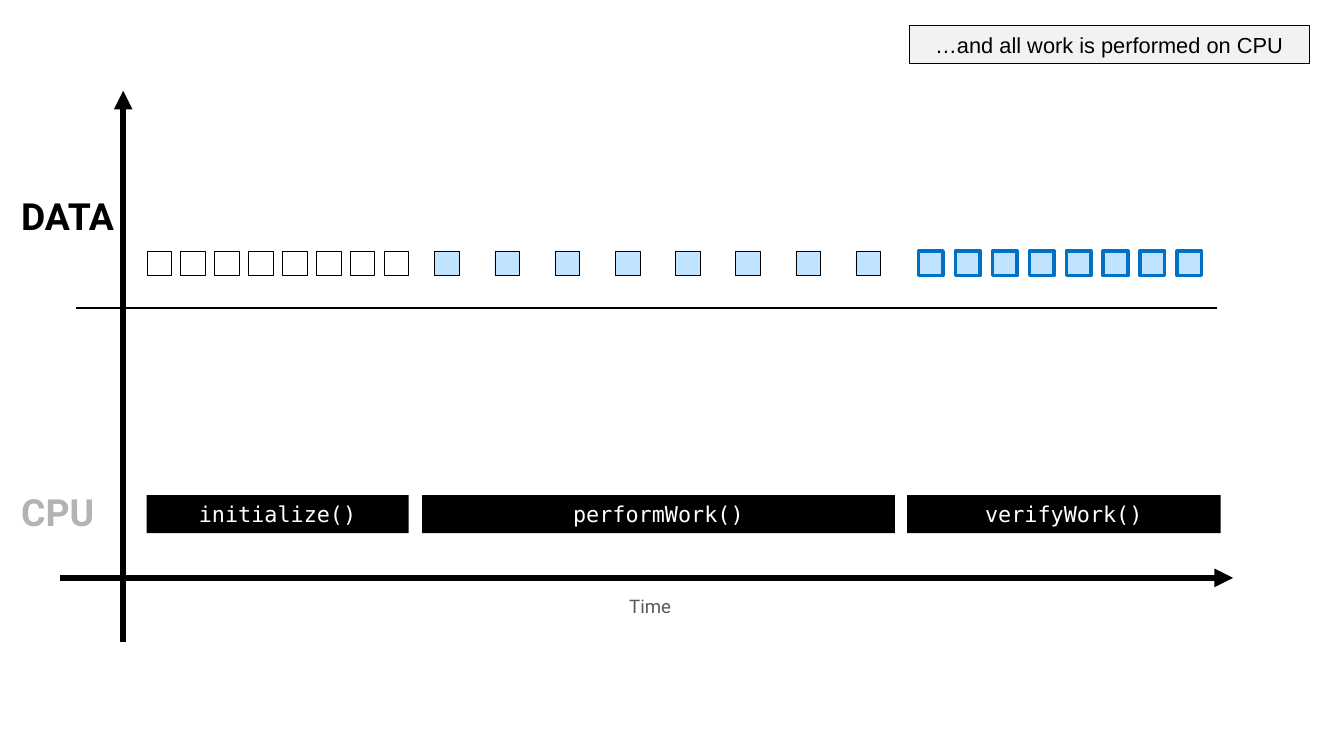
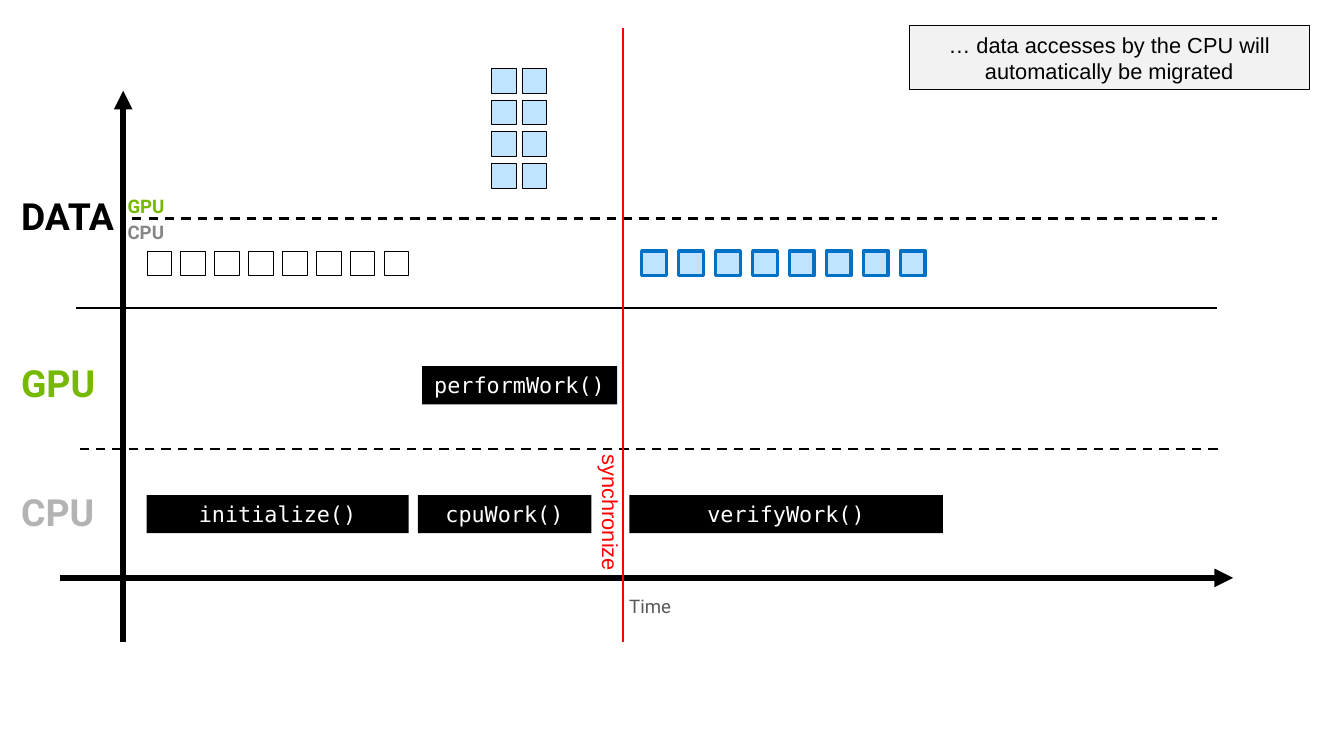
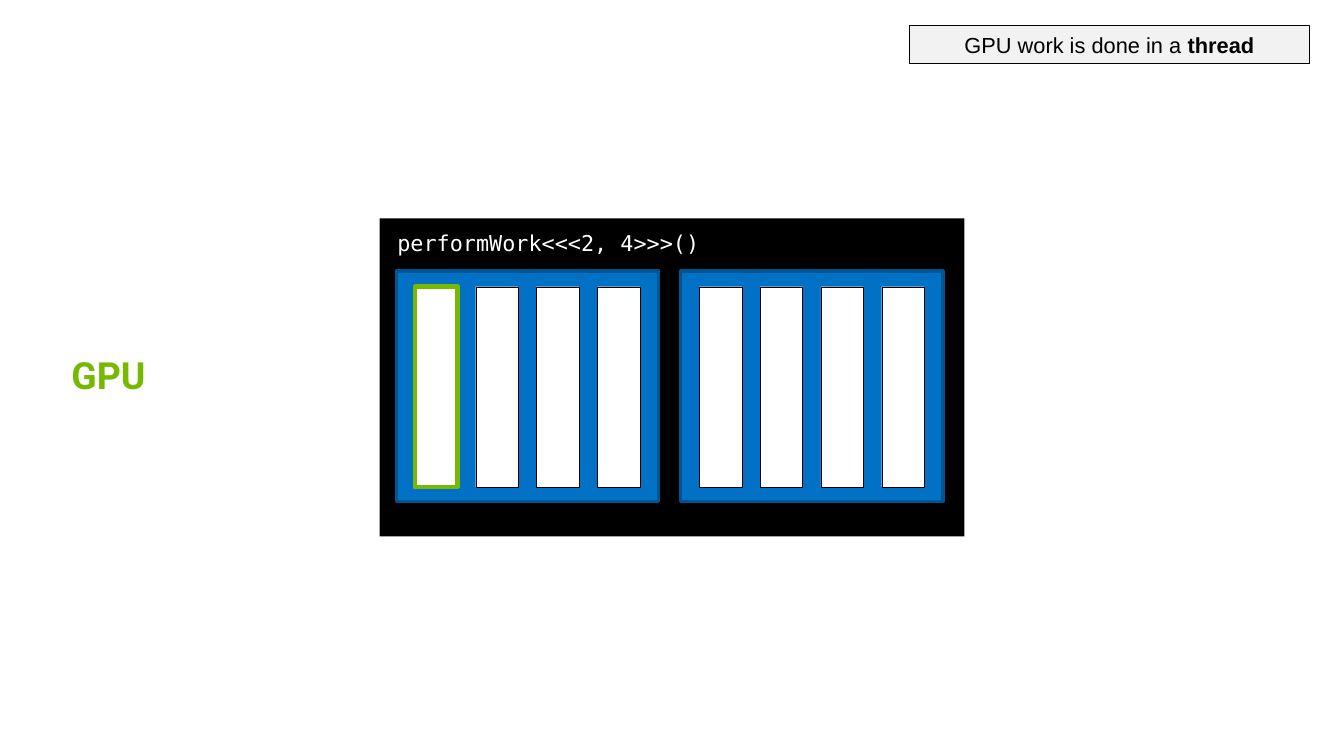
import pptx
import pptx.dml.color
import pptx.enum.dml
import pptx.enum.shapes
import pptx.enum.text
import pptx.oxml
import pptx.oxml.ns
import pptx.util

BLACK, WHITE, RED, GREEN = "000000", "FFFFFF", "FF0000", "76B900"
BLUE, DARK_BLUE, PALE_BLUE = "0071C5", "005492", "C0E4FF"
LIGHT_GRAY, CPU_GRAY, SMALL_CPU_GRAY, TIME_GRAY = "F2F2F2", "B3B3B3", "868686", "595959"

ALIGN = pptx.enum.text.PP_ALIGN
ANCHOR = pptx.enum.text.MSO_ANCHOR
color = pptx.dml.color.RGBColor.from_string

CODE = dict(font="DejaVu Sans Mono", size=14, ink=WHITE, align=ALIGN.CENTER, anchor=ANCHOR.MIDDLE, grow=True)
CODE_LEFT = {**CODE, "align": ALIGN.LEFT}
CALLOUT = dict(font="Arial", size=14, ink=BLACK, align=ALIGN.CENTER, anchor=ANCHOR.TOP, grow=True)
SYNCHRONIZE = {**CALLOUT, "ink": RED, "align": ALIGN.LEFT}
LABEL = dict(font="Roboto", size=24, ink=BLACK, bold=True, align=ALIGN.LEFT, anchor=ANCHOR.BOTTOM, spacing=0.9)
CPU_LABEL = {**LABEL, "ink": CPU_GRAY}
GPU_LABEL = {**LABEL, "ink": GREEN}
TIME_LABEL = {**LABEL, "size": 12, "ink": TIME_GRAY, "bold": False, "align": ALIGN.CENTER}

presentation = pptx.Presentation()
presentation.slide_width = pptx.util.Inches(12)
presentation.slide_height = pptx.util.Inches(6.75)
column = presentation.slide_width / 48
row = presentation.slide_height / 27


def add_box(shapes, place, fill=None, line=None, text="", style=None):
    left, top, width, height = place
    frame = [round(left * column), round(top * row), round(width * column), round(height * row)]
    if fill or line:
        shape = shapes.add_shape(pptx.enum.shapes.MSO_SHAPE.RECTANGLE, *frame)
        shape.shadow.inherit = False
        if fill:
            shape.fill.solid()
            shape.fill.fore_color.rgb = color(fill)
        else:
            shape.fill.background()
        if line:
            shape.line.color.rgb = color(line[0])
            shape.line.width = pptx.util.Pt(line[1])
        else:
            shape.line.fill.background()
    else:
        shape = shapes.add_textbox(*frame)
    if text:
        text_frame = shape.text_frame
        text_frame.text = text
        text_frame.word_wrap = True
        text_frame.vertical_anchor = style["anchor"]
        if style.get("grow"):
            text_frame.auto_size = pptx.enum.text.MSO_AUTO_SIZE.SHAPE_TO_FIT_TEXT
        paragraph = text_frame.paragraphs[0]
        paragraph.alignment = style["align"]
        paragraph.line_spacing = style.get("spacing")
        font = paragraph.runs[0].font
        font.name = style["font"]
        font.size = pptx.util.Pt(style["size"])
        font.bold = style.get("bold", False)
        font.color.rgb = color(style["ink"])
    return shape


def add_line(shapes, start, end, ink=BLACK, width=1.5, dashed=False, arrow=False):
    connector = shapes.add_connector(
        pptx.enum.shapes.MSO_CONNECTOR.STRAIGHT,
        round(start[0] * column), round(start[1] * row), round(end[0] * column), round(end[1] * row))
    connector.line.color.rgb = color(ink)
    connector.line.width = pptx.util.Pt(width)
    if dashed:
        connector.line.dash_style = pptx.enum.dml.MSO_LINE.DASH
    properties = connector.element.spPr
    if arrow:
        tail = pptx.oxml.parse_xml('<a:tailEnd %s type="triangle"/>' % pptx.oxml.ns.nsdecls("a"))
        properties.find(pptx.oxml.ns.qn("a:ln")).append(tail)
    properties.append(pptx.oxml.parse_xml("<a:effectLst %s/>" % pptx.oxml.ns.nsdecls("a")))


cpu_row, gpu_row, data_row = 17.68, 13.08, 8.96
bar_height, square = 1.36, 0.88
thin, thick = (BLACK, 0.25), (BLUE, 2.25)

# left, top, step across, step down, squares per line, lines, fill, outline
initial_squares = (5.24, data_row, 1.21, 0, 8, 1, None, thin)
timelines = [
    dict(callout="…and all work is performed on CPU", callout_height=1.36,
         bars=[("initialize()", 5.24, cpu_row, 9.36), ("performWork()", 15.08, cpu_row, 16.88),
               ("verifyWork()", 32.4, cpu_row, 11.2)],
         squares=[initial_squares, (15.52, data_row, 2.15, 0, 8, 1, PALE_BLUE, thin),
                  (32.8, data_row, 1.32, 0, 8, 1, PALE_BLUE, thick)],
         gpu=False),
    dict(callout="… data accesses by the CPU will automatically be migrated", callout_height=2.28,
         bars=[("initialize()", 5.24, cpu_row, 9.36), ("performWork()", 15.08, gpu_row, 6.96),
               ("verifyWork()", 22.48, cpu_row, 11.2), ("cpuWork()", 14.92, cpu_row, 6.2)],
         squares=[initial_squares, (17.56, 2.44, 1.08, 1.13, 2, 4, PALE_BLUE, thin),
                  (22.92, data_row, 1.32, 0, 8, 1, PALE_BLUE, thick)],
         gpu=True),
]

for timeline in timelines:
    slide = presentation.slides.add_slide(presentation.slide_layouts[6])
    shapes = slide.shapes
    add_line(shapes, (4.4, 22.92), (4.4, 3.24), width=4, arrow=True)
    add_line(shapes, (2.16, 20.64), (44.04, 20.64), width=4, arrow=True)
    add_line(shapes, (2.72, 11), (43.48, 11))
    add_box(shapes, (0.36, 17.44, 3.88, 1.84), text="CPU", style=CPU_LABEL)
    add_box(shapes, (0.36, 6.88, 4.4, 1.84), text="DATA", style=LABEL)
    add_box(shapes, (22.04, 21.04, 2.36, 1.2), text="Time", style=TIME_LABEL)
    if timeline["gpu"]:
        add_line(shapes, (2.84, 16.04), (43.6, 16.04), dashed=True)
        add_line(shapes, (4.72, 7.8), (43.48, 7.8), dashed=True)
        add_box(shapes, (0.36, 12.84, 3.88, 1.84), text="GPU", style=GPU_LABEL)
        add_box(shapes, (4.16, 7.76, 2.2, 1.12), text="CPU", style={**LABEL, "size": 12, "ink": SMALL_CPU_GRAY})
        add_box(shapes, (4.16, 6.84, 2.2, 1.12), text="GPU", style={**GPU_LABEL, "size": 12})
    for name, left, top, width in timeline["bars"]:
        add_box(shapes, (left, top, width, bar_height), BLACK, text=name, style=CODE)
    for left, top, across, down, per_line, lines, fill, outline in timeline["squares"]:
        group = shapes.add_group_shape()
        for index in range(per_line * lines):
            line_index, position = divmod(index, per_line)
            add_box(group.shapes, (left + position * across, top + line_index * down, square, square), fill, outline)
    if timeline["gpu"]:
        group = shapes.add_group_shape()
        add_line(group.shapes, (22.24, 1), (22.24, 22.92), ink=RED)
        label = add_box(group.shapes, (19.24, 17.72, 5.12, 1.36), text="synchronize", style=SYNCHRONIZE)
        label.rotation = 90
    add_box(shapes, (32.48, 0.92, 14.28, timeline["callout_height"]), LIGHT_GRAY, (BLACK, 0.75),
            timeline["callout"], CALLOUT)

slide = presentation.slides.add_slide(presentation.slide_layouts[6])
kernel = slide.shapes.add_group_shape()
add_box(kernel.shapes, (13.56, 7.8, 20.88, 11.36), BLACK)
add_box(kernel.shapes, (13.8, 8.16, 12.24, 1), BLACK, text="performWork<<<2, 4>>>()", style=CODE_LEFT)
for block in range(2):
    block_left = 14.16 + block * 10.16
    add_box(kernel.shapes, (block_left, 9.68, 9.36, 8.24), BLUE, (DARK_BLUE, 2))
    for thread in range(4):
        outline = (GREEN, 3) if block == thread == 0 else thin
        add_box(kernel.shapes, (block_left + 0.66 + thread * 2.17, 10.24, 1.52, 7.16), WHITE, outline)

callout = add_box(slide.shapes, (32.48, 0.92, 14.28, 1.36), LIGHT_GRAY, (BLACK, 0.75),
                  "GPU work is done in a ", CALLOUT)
run = callout.text_frame.paragraphs[0].add_run()
run.text = "thread"
run.font.name = CALLOUT["font"]
run.font.size = pptx.util.Pt(CALLOUT["size"])
run.font.bold = True
run.font.color.rgb = color(CALLOUT["ink"])
add_box(slide.shapes, (2.16, 12.56, 3.88, 1.84), text="GPU", style=GPU_LABEL)

presentation.save("out.pptx")
